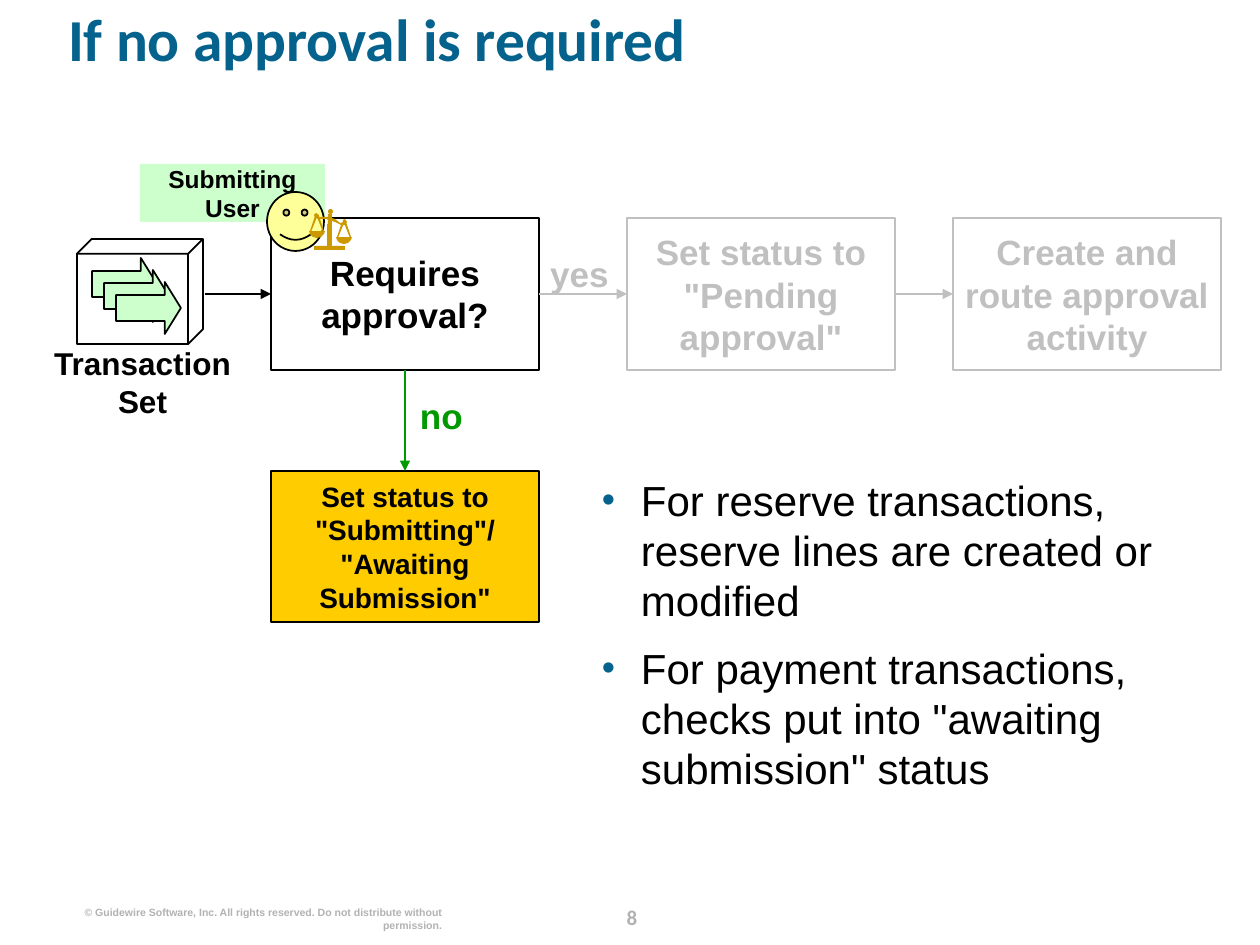
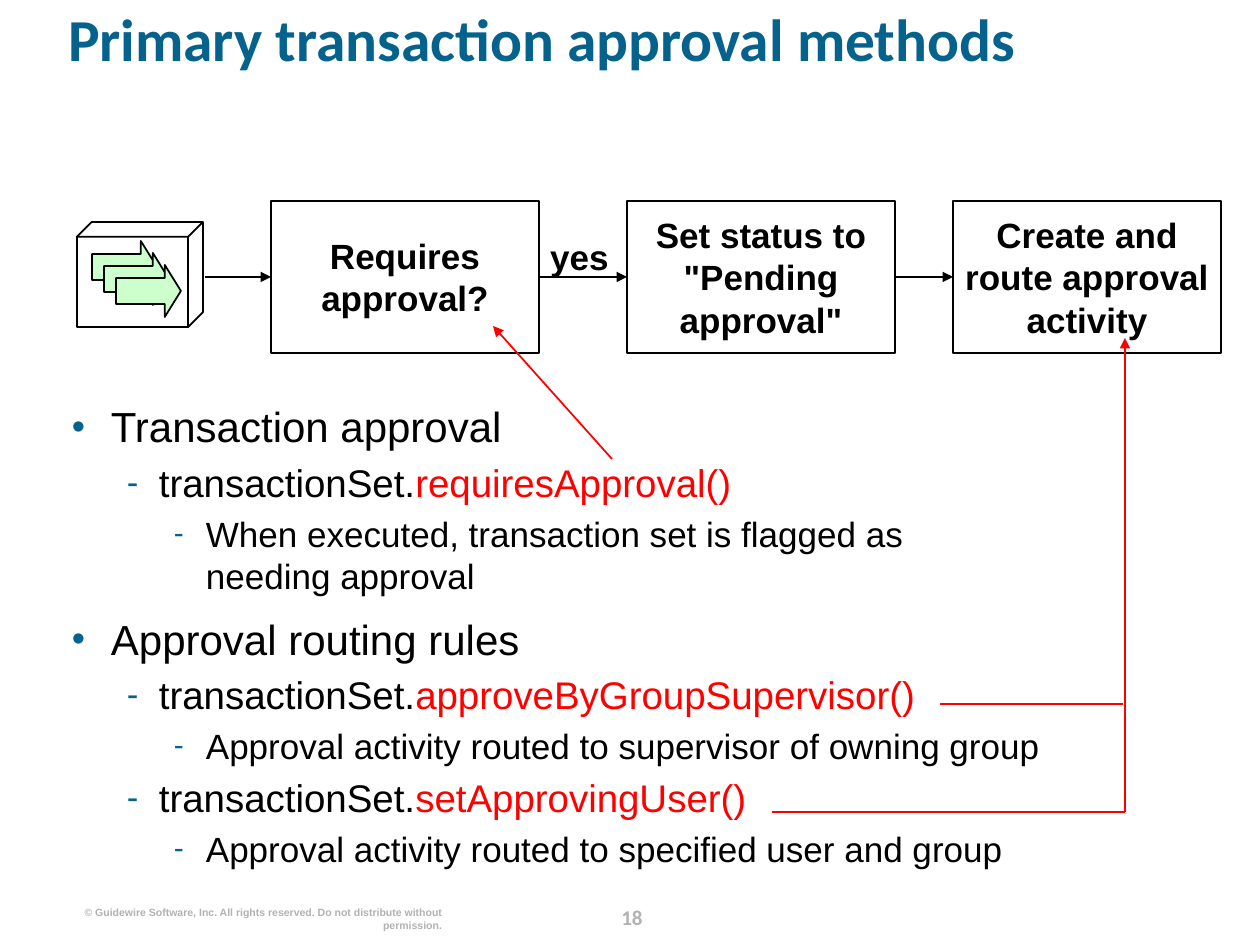
from lxml import etree
from pptx import Presentation
from pptx import util as u
from pptx.dml.color import RGBColor
from pptx.enum import shapes, text
from pptx.oxml.ns import qn

PX = 914400 / 126  # EMU in one px
TITLE_ONLY = 5

TEAL = RGBColor(0x04, 0x62, 0x8C)
BLACK = RGBColor(0, 0, 0)
GREY = RGBColor(0xC0, 0xC0, 0xC0)
FOOTER_GREY = RGBColor(0xB2, 0xB2, 0xB2)
GREEN = RGBColor(0x00, 0x99, 0x00)
MINT = RGBColor(0xCC, 0xFF, 0xCC)
RED = RGBColor(0xFF, 0, 0)
AMBER = RGBColor(0xFF, 0xCC, 0x00)
YELLOW = RGBColor(0xFF, 0xFF, 0x99)
GOLD = RGBColor(0xCC, 0x99, 0x00)

SHAPE = shapes.MSO_SHAPE
CENTER, LEFT, RIGHT = text.PP_ALIGN.CENTER, text.PP_ALIGN.LEFT, text.PP_ALIGN.RIGHT
TOP_SIDE, LEFT_SIDE, BOTTOM_SIDE, RIGHT_SIDE = range(4)

COPYRIGHT = ("© Guidewire Software, Inc. All rights reserved. "
             "Do not distribute without permission.")

# Per level: bullet, left margin px, hanging px, size pt, bullet %, space before pt
LEVELS = [
    ("•", 39, 39, 24, 90, 9.6),
    ("-", 87, 32, 22, 90, 4.4),
    ("-", 134, 32, 20, 85, 4),
]


def emu(*lengths):
    return [u.Emu(round(length * PX)) for length in lengths]


class Page:
    """One slide together with the style of the deck."""

    def __init__(self, deck, title, number):
        self.slide = deck.slides.add_slide(deck.slide_layouts[TITLE_ONLY])
        self.items = self.slide.shapes
        self.title(title)
        self.label(number, 596, 898, 72, 32, 12, FOOTER_GREY, font="Calibri", spacing=u.Pt(18))
        self.label(COPYRIGHT, 77, 906, 365, 13, 6, FOOTER_GREY, align=RIGHT)

    # Text
    def frame(self, shape, inset=0, anchor=text.MSO_ANCHOR.TOP):
        frame = shape.text_frame
        frame.word_wrap = True
        frame.auto_size = text.MSO_AUTO_SIZE.NONE
        frame.vertical_anchor = anchor
        frame.margin_left = frame.margin_right = emu(inset)[0]
        frame.margin_top = frame.margin_bottom = 0
        return frame

    def add_words(self, para, words, size, color, bold=True, font="Arial"):
        for index, line in enumerate(words.split("\n")):
            if index:
                para.add_line_break()
            span = para.add_run()
            span.text = line
            span.font.name, span.font.size = font, u.Pt(size)
            span.font.bold, span.font.color.rgb = bold, color

    def title(self, words):
        box = self.items.title
        box.left, box.top, box.width, box.height = emu(68, 16, 1147, 102)
        para = self.frame(box).paragraphs[0]
        para.alignment, para.line_spacing = LEFT, 0.8
        self.add_words(para, words, 34, TEAL, font="Calibri")

    def label(self, words, left, top, width, height, size, color,
              align=CENTER, font="Arial", spacing=None):
        box = self.items.add_textbox(*emu(left, top, width, height))
        para = self.frame(box).paragraphs[0]
        para.alignment, para.line_spacing = align, spacing
        self.add_words(para, words, size, color, font=font)

    def bullets(self, left, top, width, height, entries):
        """Each entry is a level, its words and an optional red ending."""
        frame = self.frame(self.items.add_textbox(*emu(left, top, width, height)))
        for index, (level, words, *method) in enumerate(entries):
            para = frame.add_paragraph() if index else frame.paragraphs[0]
            mark, margin, hanging, size, percent, before = LEVELS[level]
            para.level = level
            para.space_before = u.Pt(before if index else 0)
            props = para._p.get_or_add_pPr()
            props.set("marL", str(emu(margin)[0]))
            props.set("indent", str(-emu(hanging)[0]))
            color = etree.SubElement(props, qn("a:buClr"))
            etree.SubElement(color, qn("a:srgbClr"), val=str(TEAL))
            etree.SubElement(props, qn("a:buSzPct"), val=str(percent * 1000))
            etree.SubElement(props, qn("a:buFont"), typeface="Arial")
            etree.SubElement(props, qn("a:buChar"), char=mark)
            self.add_words(para, words, size, BLACK, bold=False)
            for name in method:
                self.add_words(para, name, size, RED, bold=False)

    # Shapes
    def paint(self, shape, fill, line):
        shape.shadow.inherit = False
        if fill is None:
            shape.fill.background()
        else:
            shape.fill.solid()
            shape.fill.fore_color.rgb = fill
        if line is None:
            shape.line.fill.background()
        else:
            shape.line.color.rgb, shape.line.width = line, u.Pt(1)
        return shape

    def shape(self, kind, left, top, width, height, fill=None, line=None, adjust=()):
        shape = self.items.add_shape(kind, *emu(left, top, width, height))
        for index, value in enumerate(adjust):
            shape.adjustments[index] = value
        return self.paint(shape, fill, line)

    def box(self, words, left, top, width, height, size, color=BLACK, fill=None, line=None):
        box = self.shape(SHAPE.RECTANGLE, left, top, width, height, fill, line)
        para = self.frame(box, 6, text.MSO_ANCHOR.MIDDLE).paragraphs[0]
        para.alignment = CENTER
        self.add_words(para, words, size, color)
        return box

    def outline(self, points, fill, left=0, top=0):
        points = [(left + x, top + y) for x, y in points]
        builder = self.items.build_freeform(*points[0], scale=PX)
        builder.add_line_segments(points[1:], close=True)
        self.paint(builder.convert_to_shape(), fill, None)

    def line(self, color, start, end, arrow=True):
        """An end is a point, or a pair of a shape and its side."""
        line = self.items.add_connector(shapes.MSO_CONNECTOR.STRAIGHT, 0, 0, 0, 0)
        if isinstance(start[0], int):
            line.begin_x, line.begin_y = emu(*start)
        else:
            line.begin_connect(*start)
        if isinstance(end[0], int):
            line.end_x, line.end_y = emu(*end)
        else:
            line.end_connect(*end)
        line.line.color.rgb, line.line.width = color, u.Pt(1)
        if arrow:
            etree.SubElement(line.line._get_or_add_ln(), qn("a:tailEnd"), type="triangle")
        etree.SubElement(line._element.spPr, qn("a:effectLst"))

    # Approval flow shared by both slides
    def flow(self, top, yes_color):
        for step in range(3):
            self.shape(SHAPE.RIGHT_ARROW, 92 + 12 * step, top + 40 + 12 * step, 65, 52,
                       MINT, BLACK, (0.5, 0.31))
        self.shape(SHAPE.CUBE, 77, top + 21, 126, 105, line=BLACK, adjust=(0.14,))
        steps = [
            ("Requires approval?", 271, BLACK),
            ("Set status to \"Pending approval\"", 627, yes_color),
            ("Create and route approval activity", 953, yes_color),
        ]
        requires, pending, route = [
            self.box(words, left, top, 268, 152, 20, color, line=color)
            for words, left, color in steps]
        self.label("yes", 538, top + 34, 83, 42, 20, yes_color)
        self.line(BLACK, (205, top + 76), (requires, LEFT_SIDE))
        self.line(yes_color, (requires, RIGHT_SIDE), (pending, LEFT_SIDE))
        self.line(yes_color, (pending, RIGHT_SIDE), (route, LEFT_SIDE))
        return requires

    def scales(self):
        beam = [(314, 215), (316, 213), (319, 215), (319, 217), (328, 217), (335, 219),
                (340, 223), (343, 223), (343, 220), (345, 219), (347, 222), (345, 225),
                (341, 225), (335, 222), (326, 219), (319, 219), (315, 218)]
        pan = [(0, 0), (1, 3), (4, 6), (8, 7), (12, 6), (15, 3), (16, 0)]
        cord = [(2, 1), (8, -14), (6, -15), (1, 0)]
        mirrored_cord = [(16 - x, y) for x, y in cord]
        self.outline(beam, GOLD)
        for left, top in ((309, 231), (336, 237)):
            for part in (pan, cord, mirrored_cord):
                self.outline(part, GOLD, left, top)
        for post in ((328, 214, 4, 14), (327, 224, 5, 23), (314, 246, 31, 4)):
            self.shape(SHAPE.RECTANGLE, *post, fill=GOLD)
        self.shape(SHAPE.OVAL, 328, 209, 5, 5, GOLD)


def no_approval(deck):
    page = Page(deck, "If no approval is required", "8")
    requires = page.flow(218, GREY)
    page.label("Transaction\nSet", 50, 344, 185, 76, 18, BLACK)

    # Branch without approval
    submitting = page.box("Set status to \"Submitting\"/\n\"Awaiting Submission\"",
                          271, 471, 268, 151, 16, fill=AMBER, line=BLACK)
    page.line(GREEN, (requires, BOTTOM_SIDE), (submitting, TOP_SIDE))
    page.label("no", 420, 394, 52, 42, 20, GREEN, align=LEFT)
    page.bullets(602, 474, 620, 407, [
        (0, "For reserve transactions, reserve lines are created or modified"),
        (0, "For payment transactions, checks put into \"awaiting submission\" status"),
    ])

    # Submitting user
    page.box("Submitting User", 140, 164, 185, 58, 14, fill=MINT)
    page.shape(SHAPE.SMILEY_FACE, 267, 192, 57, 59, YELLOW, BLACK, (0.05,))
    page.scales()


def approval_methods(deck):
    page = Page(deck, "Primary transaction approval methods", "18")
    page.flow(201, BLACK)
    page.bullets(72, 401, 1147, 480, [
        (0, "Transaction approval"),
        (1, "transactionSet.", "requiresApproval()"),
        (2, "When executed, transaction set is flagged as\nneeding approval"),
        (0, "Approval routing rules"),
        (1, "transactionSet.", "approveByGroupSupervisor()"),
        (2, "Approval activity routed to supervisor of owning group"),
        (1, "transactionSet.", "setApprovingUser()"),
        (2, "Approval activity routed to specified user and group"),
    ])

    # Pointers from methods to flow steps
    page.line(RED, (612, 459), (493, 326))
    page.line(RED, (940, 704), (1123, 704), arrow=False)
    page.line(RED, (772, 812), (1125, 812), arrow=False)
    page.line(RED, (1125, 812), (1125, 338))


def main():
    deck = Presentation()
    deck.slide_width, deck.slide_height = emu(1260, 945)
    no_approval(deck)
    approval_methods(deck)
    deck.save("out.pptx")


if __name__ == "__main__":
    main()
